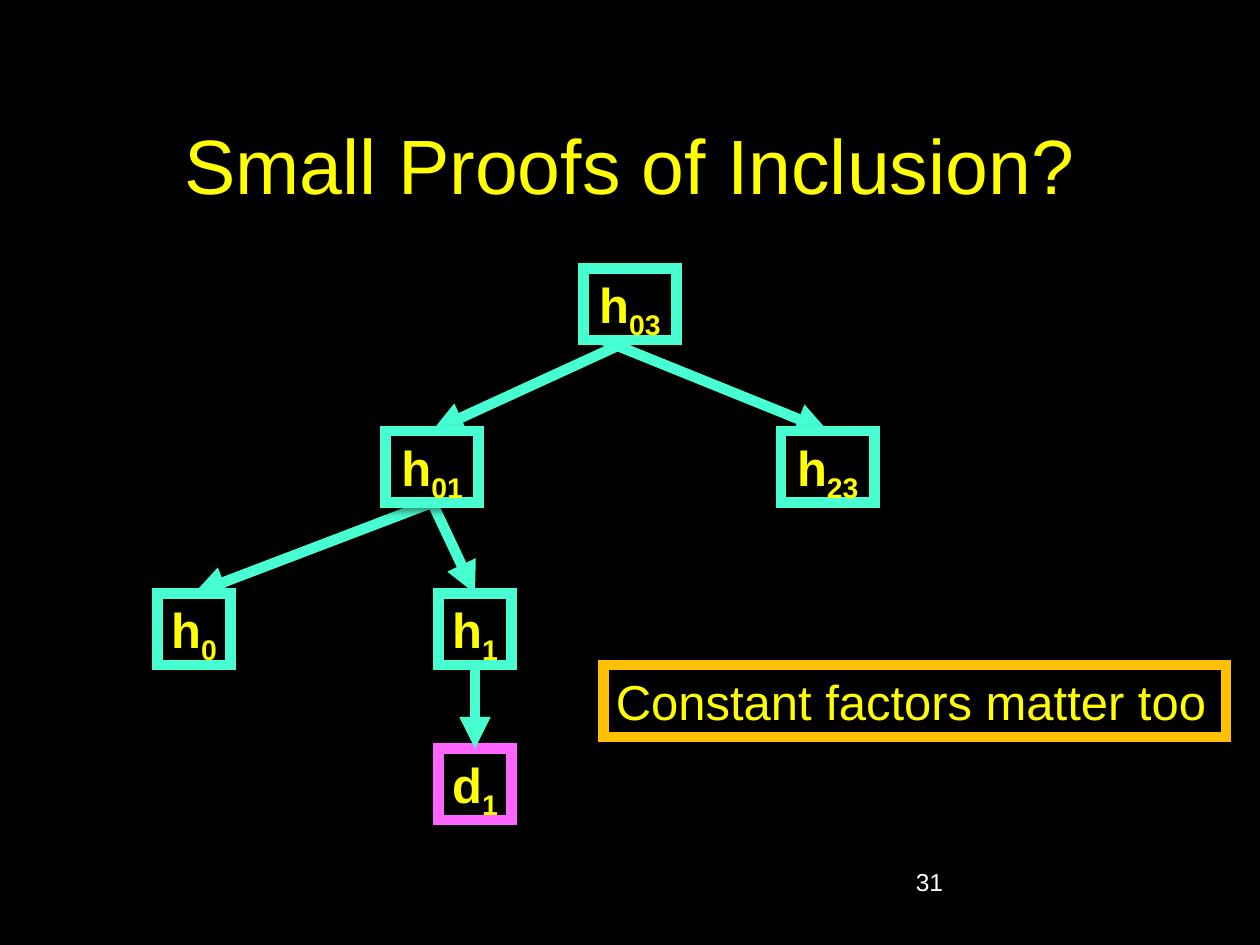
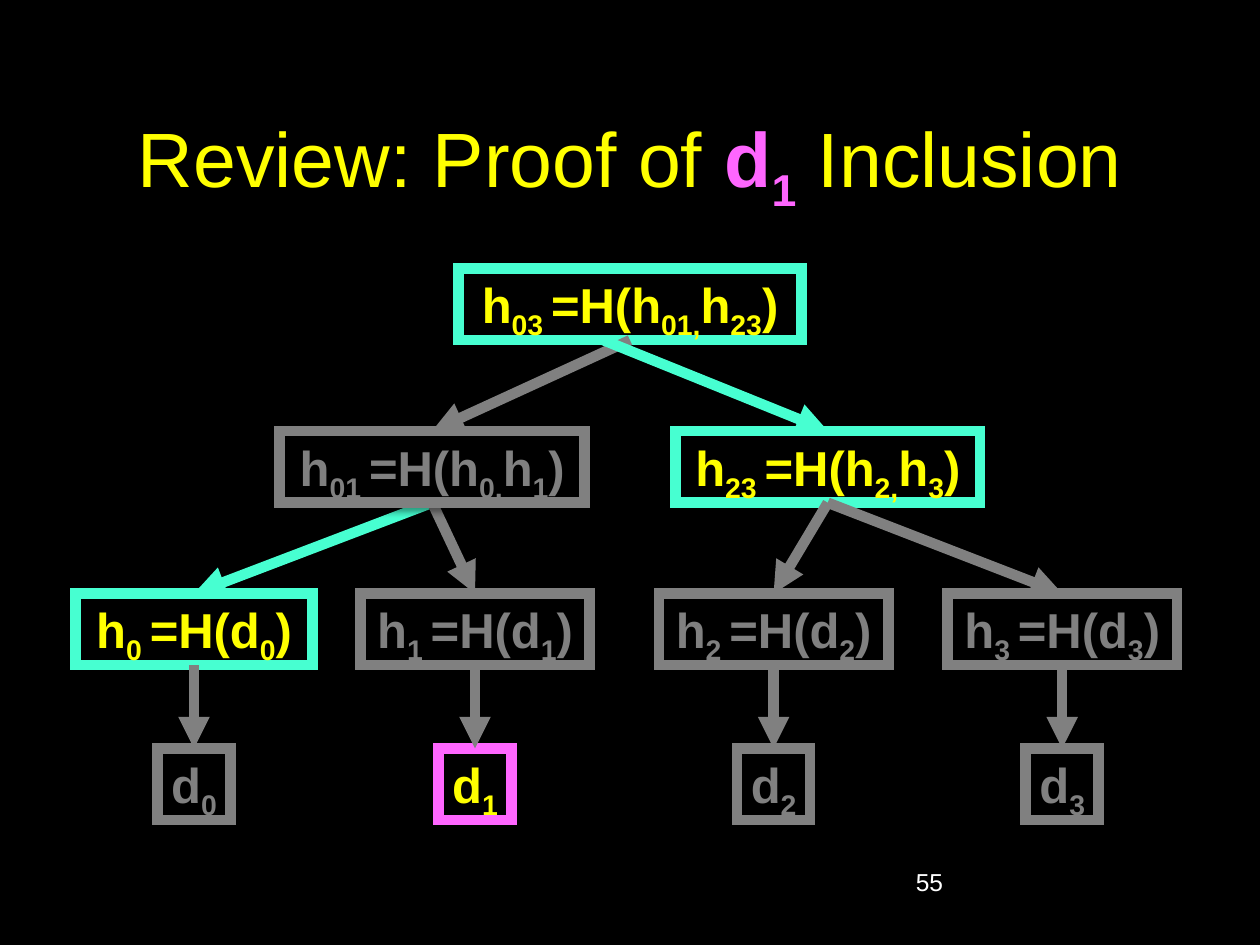
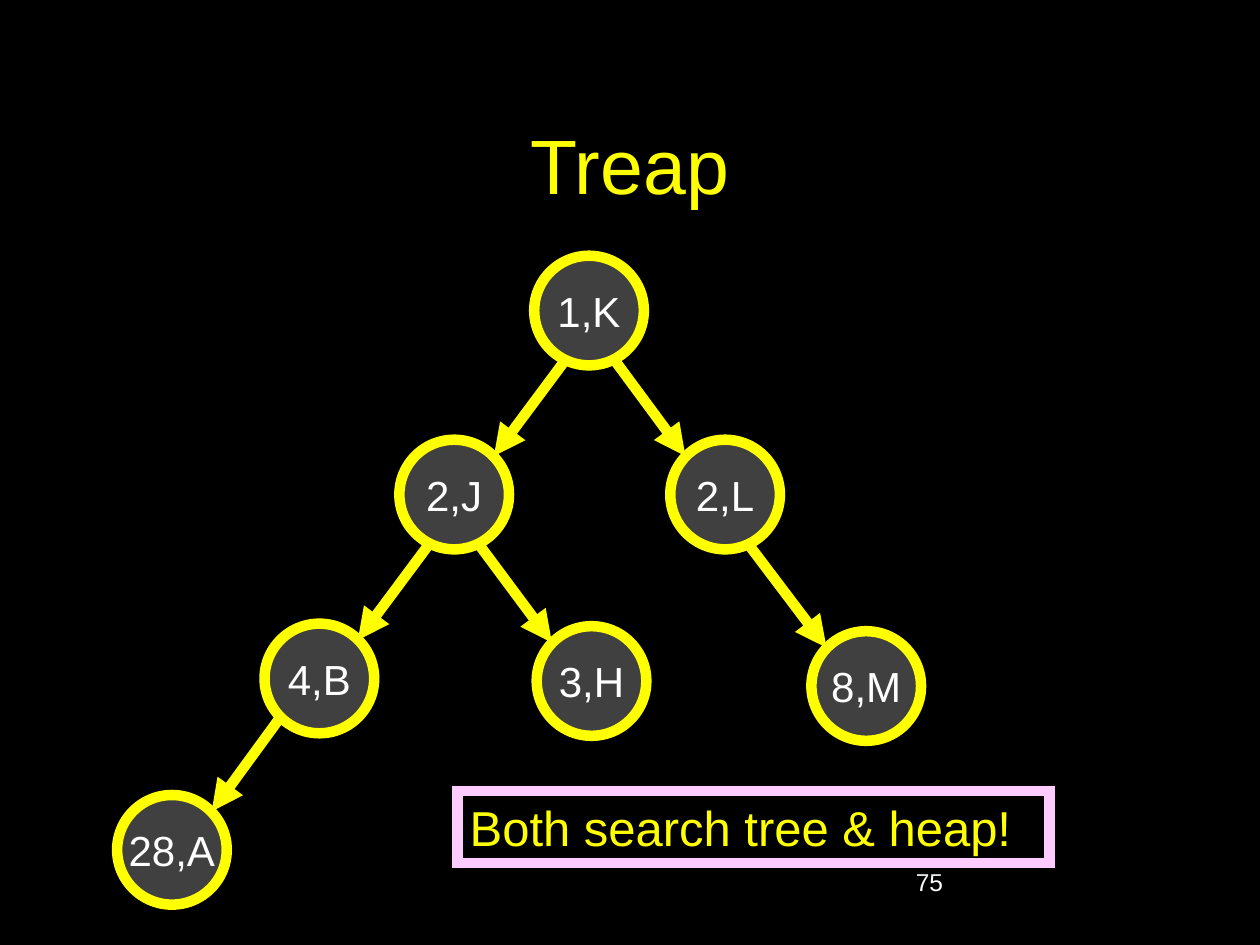
from dataclasses import dataclass

from lxml import etree
from pptx import Presentation
from pptx import util as u
from pptx.dml.color import RGBColor
from pptx.enum import shapes, text
from pptx.oxml import ns

PX = 9144


@dataclass(frozen=True)
class Theme:
    """Colours, type sizes and line width of the deck."""
    font: str = "Arial"
    black: str = "000000"
    white: str = "FFFFFF"
    yellow: str = "FFFF00"
    teal: str = "47FFD1"
    pink: str = "FF66FF"
    pale_pink: str = "FFCCFF"
    orange: str = "FFC000"
    grey: str = "808080"
    charcoal: str = "404040"
    title_size: int = 44
    label_size: int = 28
    key_size: int = 24
    page_size: int = 14
    stroke: int = 6


@dataclass(frozen=True)
class Node:
    """A hash or data box: centre column, level, width, label and colours."""
    column: int
    level: int
    width: int
    label: str
    frame: str
    ink: str


@dataclass(frozen=True)
class Edge:
    """An arrow between two nodes, with a shift of its start."""
    parent: str
    child: str
    colour: str
    shift: int = 0


T = Theme()
LEFT, CENTER = text.PP_ALIGN.LEFT, text.PP_ALIGN.CENTER
TITLE_BOX = (75, 67, 850, 125)
PAGE_BOX = (717, 683, 208, 50)
TREE_BOX = (60, 213, 874, 438)
TREAP_BOX = (93, 203, 638, 515)
NODE_HEIGHT = 57
LEVELS = (0, 129, 258, 381)
LEAF_COLUMNS = (94, 317, 554, 783)
INNER_COLUMNS = (283, 597)
ROOT_COLUMN = 440
ROOT_SHIFT = -21
CIRCLE = 87
CIRCLE_REACH = 31


def rgb(colour):
    """Return the colour object for a hex string."""
    return RGBColor.from_string(colour)


def emu(lengths):
    """Turn px lengths into EMU."""
    return [u.Emu(length * PX) for length in lengths]


def write(frame, markup, size, ink, align=LEFT, bold=False):
    """Write text in which _x_ is subscript and *x* is accented."""
    paragraph = frame.paragraphs[0]
    paragraph.alignment = align
    for i, phrase in enumerate(markup.split("*")):
        accent = i % 2 == 1
        for j, piece in enumerate(phrase.split("_")):
            if not piece:
                continue
            run = paragraph.add_run()
            run.text = piece
            run.font.name = T.font
            run.font.size = u.Pt(size)
            run.font.bold = bold or accent
            run.font.color.rgb = rgb(T.pink if accent else ink)
            if j % 2:
                run._r.get_or_add_rPr().set("baseline", "-25000")


def add_outlined(slide, preset, box, fill, frame):
    """Add a preset shape with a thick, sharp-cornered frame."""
    outlined = slide.shapes.add_shape(preset, *emu(box))
    outlined.shadow.inherit = False
    outlined.fill.solid()
    outlined.fill.fore_color.rgb = rgb(fill)
    outlined.line.color.rgb = rgb(frame)
    outlined.line.width = u.Pt(T.stroke)
    etree.SubElement(outlined.line._get_or_add_ln(), ns.qn("a:miter"), lim="800000")
    outlined.text_frame.word_wrap = False
    return outlined


def add_label_box(slide, box, label, frame, ink, align=LEFT, bold=False):
    """Add a framed black box with a soft shadow and a label."""
    label_box = add_outlined(slide, shapes.MSO_SHAPE.RECTANGLE, box, T.black, frame)
    effects = label_box._element.spPr.find(ns.qn("a:effectLst"))
    shadow = etree.SubElement(effects, ns.qn("a:outerShdw"), blurRad=str(u.Pt(4)),
                              dist=str(u.Pt(3)), dir="2700000", rotWithShape="0")
    tint = etree.SubElement(shadow, ns.qn("a:srgbClr"), val=T.black)
    etree.SubElement(tint, ns.qn("a:alpha"), val="40000")
    label_box.text_frame.vertical_anchor = text.MSO_ANCHOR.TOP
    label_box.text_frame.auto_size = text.MSO_AUTO_SIZE.SHAPE_TO_FIT_TEXT
    write(label_box.text_frame, label, T.label_size, ink, align, bold)
    return label_box


def add_arrow(slide, start, end, colour):
    """Add a thick straight arrow."""
    arrow = slide.shapes.add_connector(shapes.MSO_CONNECTOR.STRAIGHT, *emu(start + end))
    arrow.line.color.rgb = rgb(colour)
    arrow.line.width = u.Pt(T.stroke)
    etree.SubElement(arrow.line._get_or_add_ln(), ns.qn("a:tailEnd"), type="triangle")
    etree.SubElement(arrow._element.spPr, ns.qn("a:effectLst"))
    return arrow


def add_text(slide, box, markup, size, ink, align=LEFT, anchor=text.MSO_ANCHOR.TOP):
    """Add a wrapped text box."""
    frame = slide.shapes.add_textbox(*emu(box)).text_frame
    frame.word_wrap = True
    frame.vertical_anchor = anchor
    write(frame, markup, size, ink, align)


def start_slide(deck, title, page):
    """Add a black slide with its title and page number."""
    slide = deck.slides.add_slide(deck.slide_layouts[6])
    slide.background.fill.solid()
    slide.background.fill.fore_color.rgb = rgb(T.black)
    add_text(slide, TITLE_BOX, title, T.title_size, T.yellow, CENTER, text.MSO_ANCHOR.MIDDLE)
    add_text(slide, PAGE_BOX, page, T.page_size, T.white)
    return slide


def draw_hash_tree(slide, box, nodes, edges_below, raised, edges_above):
    """Draw boxes and arrows, with the raised boxes between two sets of arrows."""
    left, top = box[:2]
    boxes = {}
    for name, node in nodes.items():
        place = (left + node.column - node.width // 2, top + LEVELS[node.level],
                 node.width, NODE_HEIGHT)
        boxes[name] = add_label_box(slide, place, node.label, node.frame, node.ink, CENTER, True)

    def join(edge):
        """Draw one arrow from a parent's bottom to a child's top."""
        parent, child = nodes[edge.parent], nodes[edge.child]
        start = (left + parent.column + edge.shift, top + LEVELS[parent.level] + NODE_HEIGHT)
        end = (left + child.column, top + LEVELS[child.level])
        arrow = add_arrow(slide, start, end, edge.colour)
        if not edge.shift:
            arrow.begin_connect(boxes[edge.parent], 2)
        arrow.end_connect(boxes[edge.child], 0)

    for edge in edges_below:
        join(edge)
    for name in raised:
        slide.shapes._spTree.append(boxes[name]._element)
    for edge in edges_above:
        join(edge)


def draw_treap(slide, box, circles, links):
    """Draw the links of a treap and then its circles."""
    left, top = box[:2]
    radius = CIRCLE / 2
    for parent, child, dx, dy in links:
        (px, py), (cx, cy) = circles[parent], circles[child]
        side = 1 if cx < px else -1
        start = (round(left + px + radius + dx), round(top + py + radius + dy))
        end = (round(left + cx + radius + side * CIRCLE_REACH),
               round(top + cy + radius - CIRCLE_REACH))
        add_arrow(slide, start, end, T.yellow)
    for key, (x, y) in circles.items():
        circle = add_outlined(slide, shapes.MSO_SHAPE.OVAL,
                              (left + x, top + y, CIRCLE, CIRCLE), T.charcoal, T.yellow)
        frame = circle.text_frame
        frame.margin_left = frame.margin_right = 0
        frame.vertical_anchor = text.MSO_ANCHOR.MIDDLE
        write(frame, key, T.key_size, T.white, CENTER)


def build_small_proofs(deck):
    """Build the slide on small inclusion proofs."""
    slide = start_slide(deck, "Small Proofs of Inclusion?", "31")
    places = {"h03": (ROOT_COLUMN, 0, 74), "h01": (INNER_COLUMNS[0], 1, 74),
              "h23": (INNER_COLUMNS[1], 1, 74), "h0": (LEAF_COLUMNS[0], 2, 58),
              "h1": (LEAF_COLUMNS[1], 2, 58)}
    nodes = {name: Node(*place, f"h_{name[1:]}_", T.teal, T.yellow)
             for name, place in places.items()}
    nodes["d1"] = Node(LEAF_COLUMNS[1], 3, 58, "d_1_", T.pink, T.yellow)
    pairs = (("h1", "d1"), ("h01", "h0"), ("h01", "h1"), ("h03", "h01"))
    edges = [Edge(*pair, T.teal) for pair in pairs]
    edges.append(Edge("h03", "h23", T.teal, ROOT_SHIFT))
    draw_hash_tree(slide, TREE_BOX, nodes, edges, ("h01", "h23"), ())
    add_label_box(slide, (479, 528, 494, 57), "Constant factors matter too", T.orange, T.yellow)


def build_review(deck):
    """Build the review slide with the whole hash tree."""
    slide = start_slide(deck, "Review: Proof of *d_1_* Inclusion", "55")
    proof, faded = (T.teal, T.yellow), (T.grey, T.grey)
    nodes = {
        "h03": Node(ROOT_COLUMN, 0, 272, "h_03 _=H(h_01,_h_23_)", *proof),
        "h01": Node(INNER_COLUMNS[0], 1, 242, "h_01 _=H(h_0,_h_1_)", *faded),
        "h23": Node(INNER_COLUMNS[1], 1, 242, "h_23 _=H(h_2,_h_3_)", *proof),
    }
    for i, column in enumerate(LEAF_COLUMNS):
        width, colours = (188, proof) if i == 0 else (182, faded)
        nodes[f"h{i}"] = Node(column, 2, width, f"h_{i} _=H(d_{i}_)", *colours)
        datum = (T.pink, T.yellow) if i == 1 else faded
        nodes[f"d{i}"] = Node(column, 3, 58, f"d_{i}_", *datum)
    below = [Edge(f"h{i}", f"d{i}", T.grey) for i in range(len(LEAF_COLUMNS))]
    below += [Edge("h01", "h0", T.teal), Edge("h01", "h1", T.grey)]
    above = [Edge("h23", "h2", T.grey), Edge("h23", "h3", T.grey),
             Edge("h03", "h01", T.grey), Edge("h03", "h23", T.teal, ROOT_SHIFT)]
    draw_hash_tree(slide, TREE_BOX, nodes, below, ("h01",), above)


def build_treap(deck):
    """Build the treap slide."""
    slide = start_slide(deck, "Treap", "75")
    circles = {"1,K": (331, 0), "2,J": (224, 146), "2,L": (439, 146), "4,B": (117, 292),
               "8,M": (551, 298), "3,H": (333, 294), "28,A": (0, 428)}
    links = (("1,K", "2,J", -18, 37), ("1,K", "2,L", 14, 31), ("2,J", "4,B", -18, 37),
             ("2,L", "8,M", 18, 39), ("2,J", "3,H", 19, 39), ("4,B", "28,A", -31, 31))
    draw_treap(slide, TREAP_BOX, circles, links)
    callout = add_label_box(slide, (363, 628, 470, 57), "Both search tree & heap!",
                            T.pale_pink, T.yellow)
    callout.text_frame.word_wrap = True


def main():
    """Build and save the deck."""
    deck = Presentation()
    deck.slide_width, deck.slide_height = emu((1000, 750))
    build_small_proofs(deck)
    build_review(deck)
    build_treap(deck)
    deck.save("out.pptx")


if __name__ == "__main__":
    main()
